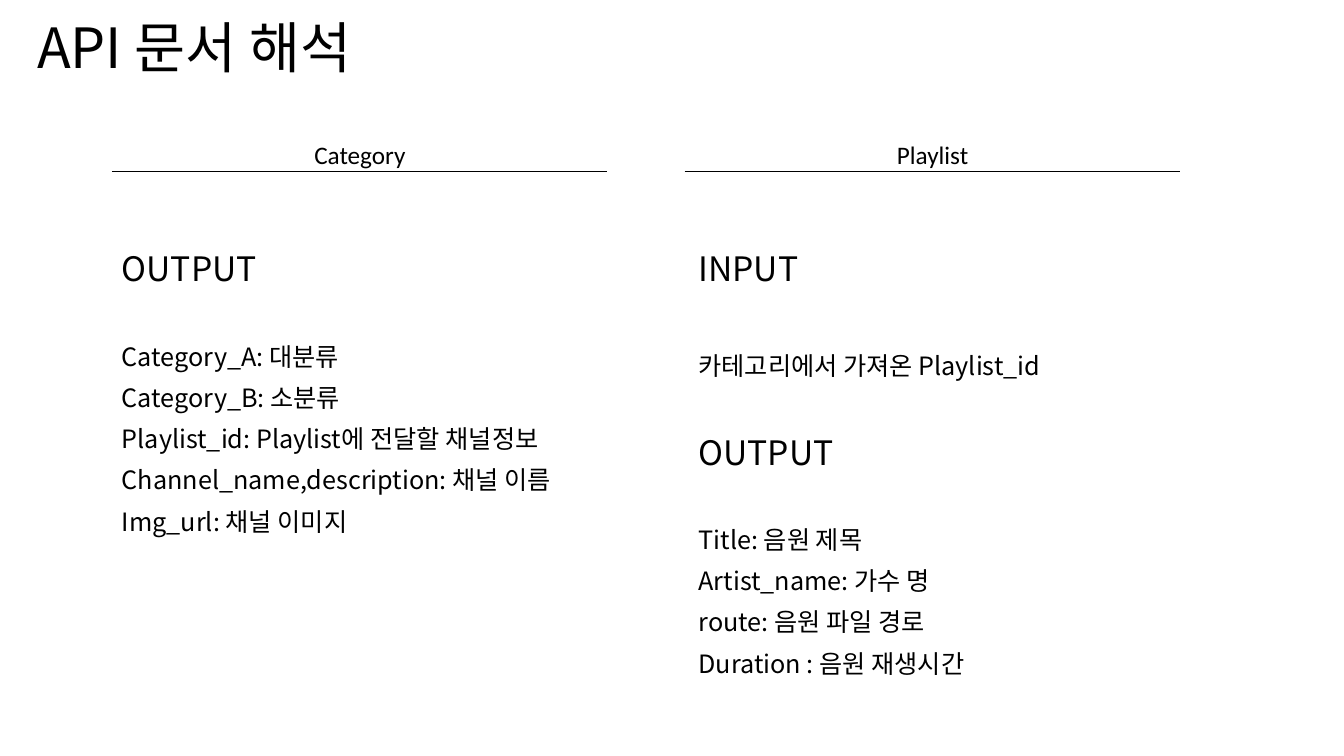
from dataclasses import dataclass
from lxml import etree
from pptx import Presentation
from pptx import util as u
from pptx.dml.color import RGBColor
from pptx.enum import shapes, text
from pptx.oxml.ns import qn


@dataclass(frozen=True)
class Theme:
    ink: RGBColor = RGBColor(0, 0, 0)
    sans: str = "Noto Sans CJK KR"
    label: str = "Calibri"
    title: float = 39.6
    head: float = 24
    body: float = 18
    rule: float = 1
    lead: float = 0.9
    gap: float = 10


@dataclass(frozen=True)
class Box:
    """Left, top, width and height in percent of the slide."""
    x: float
    y: float
    w: float
    h: float


@dataclass(frozen=True)
class Block:
    head: str
    rows: list[str]
    space: float  # points between head and rows


@dataclass(frozen=True)
class Column:
    name: str
    x: float
    text_x: float
    blocks: list[Block]


THEME = Theme()
SIZE = (u.Inches(13.33), u.Inches(7.5))
WIDE = 36.83
RULE_Y = 22.67
GAP = 39.5

COLUMNS = [
    Column("Category", 8.33, 8.33, [
        Block("OUTPUT", [
            "Category_A: 대분류",
            "Category_B: 소분류",
            "Playlist_id: Playlist에 전달할 채널정보",
            "Channel_name,description: 채널 이름",
            "Img_url: 채널 이미지",
        ], GAP),
    ]),
    Column("Playlist", 50.94, 51.24, [
        Block("INPUT", ["카테고리에서 가져온 Playlist_id"], 46),
        Block("OUTPUT", [
            "Title: 음원 제목",
            "Artist_name: 가수 명",
            "route: 음원 파일 경로",
            "Duration : 음원 재생시간",
        ], GAP),
    ]),
]


def across(share: float) -> int:
    return round(SIZE[0] * share / 100)


def down(share: float) -> int:
    return round(SIZE[1] * share / 100)


def add_box(slide, box: Box, middle: bool = False):
    shape = slide.shapes.add_textbox(
        across(box.x), down(box.y), across(box.w), down(box.h))
    frame = shape.text_frame
    frame.word_wrap = True
    if middle:
        frame.vertical_anchor = text.MSO_ANCHOR.MIDDLE
    return frame


def style(para, words: str, size: float, face: str = THEME.sans) -> None:
    para.text = words
    para.font.size = u.Pt(size)
    para.font.name = face
    para.font.color.rgb = THEME.ink
    # Hangul takes its face from the East Asian font
    for run in para.runs:
        props = run._r.get_or_add_rPr()
        etree.SubElement(props, qn("a:ea")).set("typeface", face)


def add_title(slide, words: str) -> None:
    para = add_box(slide, Box(2.03, 3.47, 76.5, 6.53), True).paragraphs[0]
    style(para, words, THEME.title)
    para.line_spacing = THEME.lead


def add_label(slide, col: Column) -> None:
    frame = add_box(slide, Box(col.x + 0.3, 18.4, 36.3, 4), True)
    frame.margin_left = frame.margin_right = 0
    frame.margin_top = frame.margin_bottom = 0
    para = frame.paragraphs[0]
    style(para, col.name, THEME.body, THEME.label)
    para.alignment = text.PP_ALIGN.CENTER


def add_rule(slide, col: Column) -> None:
    line = slide.shapes.add_connector(
        shapes.MSO_CONNECTOR.STRAIGHT, across(col.x), down(RULE_Y),
        across(col.x + WIDE), down(RULE_Y))
    line.line.color.rgb = THEME.ink
    line.line.width = u.Pt(THEME.rule)
    etree.SubElement(line._element.spPr, qn("a:effectLst"))


def add_blocks(slide, col: Column) -> None:
    frame = add_box(slide, Box(col.text_x, 32.8, WIDE, 27.33))
    lines = []
    for block in col.blocks:
        lines.append((block.head, THEME.head, GAP if lines else THEME.gap))
        for i, row in enumerate(block.rows):
            lines.append((row, THEME.body, THEME.gap if i else block.space))
    for i, (words, size, space) in enumerate(lines):
        para = frame.add_paragraph() if i else frame.paragraphs[0]
        style(para, words, size)
        para.line_spacing = THEME.lead
        para.space_before = u.Pt(space)


def main() -> None:
    deck = Presentation()
    deck.slide_width, deck.slide_height = SIZE
    slide = deck.slides.add_slide(deck.slide_layouts[6])

    # Title
    add_title(slide, "API 문서 해석")

    # Two columns: label, rule, text
    for col in COLUMNS:
        add_label(slide, col)
        add_rule(slide, col)
        add_blocks(slide, col)

    deck.save("out.pptx")


if __name__ == "__main__":
    main()
